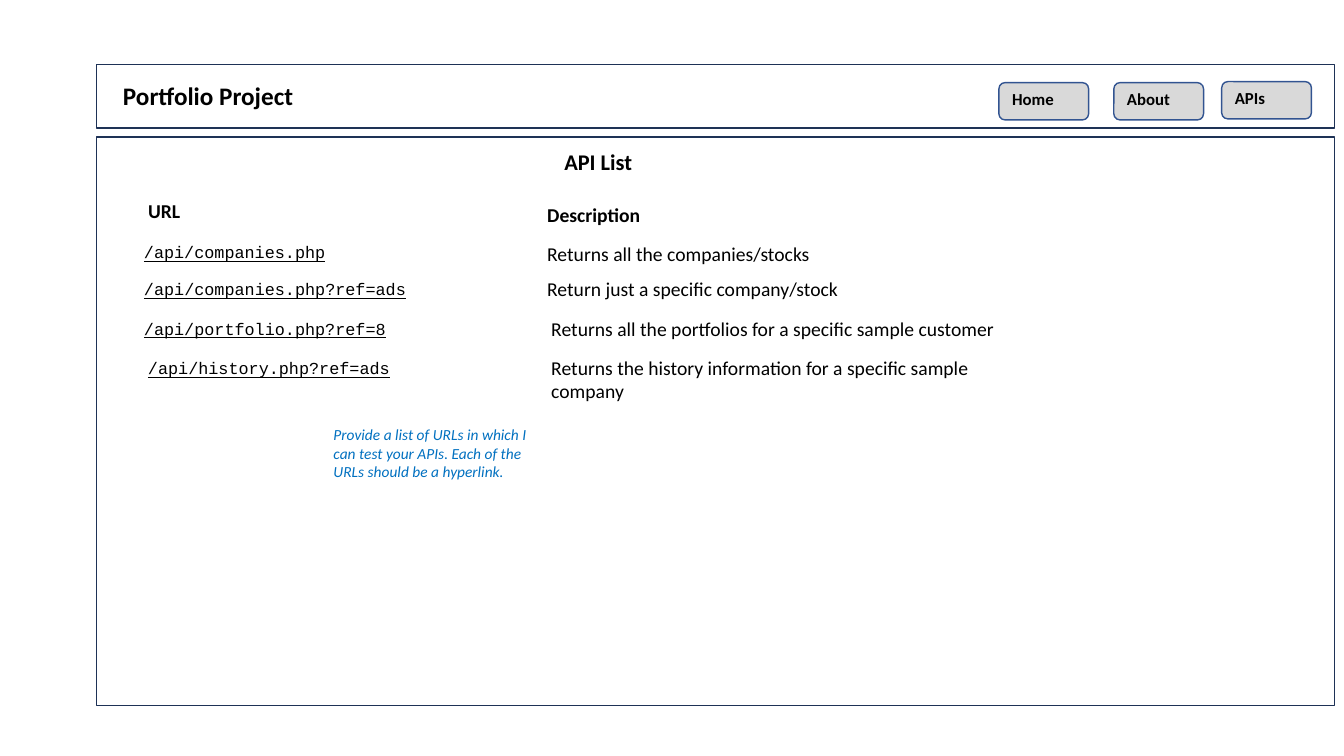
"""Build the API list page mock-up of a portfolio project."""
from dataclasses import dataclass

from pptx import Presentation
from pptx.dml.color import RGBColor
from pptx.enum.shapes import MSO_SHAPE
from pptx.enum.text import MSO_ANCHOR, PP_ALIGN
from pptx.util import Pt

RECT = MSO_SHAPE.RECTANGLE
ROUNDED = MSO_SHAPE.ROUNDED_RECTANGLE
TOP = MSO_ANCHOR.TOP
LEFT = PP_ALIGN.LEFT

NAVY, BLUE, GREY = "1E3256", "325491", "D9D9D9"
BLACK, NOTE_BLUE = "000000", "0070C0"
SANS, MONO = "Calibri", "Courier New"


@dataclass
class Box:
    """Position and size in points."""
    x: float
    y: float
    w: float
    h: float


@dataclass
class NavButton:
    """A button of the page header."""
    label: str
    x: float
    y: float


@dataclass
class ApiRow:
    """One API with its description."""
    url: str
    url_box: Box
    description: str
    description_box: Box


TITLE_BOX = Box(80.64, 54, 190.08, 28.8)
FRAMES = [Box(69.12, 46.08, 884.16, 45.36), Box(69.12, 97.92, 884.16, 406.08)]
BUTTONS = [
    NavButton("Home", 713.52, 59.04),
    NavButton("About", 795.6, 59.04),
    NavButton("APIs", 872.64, 58.32),
]
HEADINGS = [
    ("API List", Box(396, 102.24, 126, 26.64), 16),
    ("URL", Box(98.64, 138.24, 126, 24.48), 14),
    ("Description", Box(383.76, 141.12, 126, 24.48), 14),
]
ROWS = [
    ApiRow("/api/companies.php", Box(95.76, 169.2, 204.48, 21.6),
           "Returns all the companies/stocks", Box(383.76, 169.2, 334.8, 24.48)),
    ApiRow("/api/companies.php?ref=ads", Box(95.76, 195.84, 250.56, 21.6),
           "Return just a specific company/stock", Box(383.76, 194.4, 334.8, 24.48)),
    ApiRow("/api/portfolio.php?ref=8", Box(95.76, 223.92, 204.48, 21.6),
           "Returns all the portfolios for a specific sample customer",
           Box(386.64, 222.48, 334.8, 24.48)),
    ApiRow("/api/history.php?ref=ads", Box(98.64, 252, 278.64, 21.6),
           "Returns the history information for a specific sample company",
           Box(386.64, 250.56, 334.8, 41.04)),
]
NOTE = ("Provide a list of URLs in which I can test your APIs. "
        "Each of the URLs should be a hyperlink.")
NOTE_BOX = Box(231.12, 300.24, 164.16, 47.52)


def rgb(color: str) -> RGBColor:
    """Turn a hex string into a colour."""
    return RGBColor.from_string(color)


def lengths(box: Box) -> tuple[Pt, Pt, Pt, Pt]:
    """Give left, top, width and height of a box."""
    return Pt(box.x), Pt(box.y), Pt(box.w), Pt(box.h)


def write(sp, text: str, *, size: float, font: str = SANS, color: str = BLACK,
          bold: bool = False, italic: bool = False, underline: bool = False,
          inset_x: float = 7.2, inset_y: float = 3.6) -> None:
    """Put one formatted paragraph into a shape."""
    tf = sp.text_frame
    tf.word_wrap = True
    tf.vertical_anchor = TOP
    tf.margin_left = tf.margin_right = Pt(inset_x)
    tf.margin_top = tf.margin_bottom = Pt(inset_y)
    p = tf.paragraphs[0]
    p.alignment = LEFT
    p.line_spacing = 1.0
    p.space_before = Pt(0)
    r = p.add_run()
    r.text = text
    r.font.name = font
    r.font.size = Pt(size)
    r.font.bold = bold
    r.font.italic = italic
    r.font.underline = underline
    r.font.color.rgb = rgb(color)


def add_text(s, text: str, box: Box, **style) -> None:
    """Add a text box."""
    write(s.shapes.add_textbox(*lengths(box)), text, **style)


def add_panel(s, kind, box: Box, line: str, fill: str | None = None):
    """Add an outlined shape, filled if a colour is given."""
    sp = s.shapes.add_shape(kind, *lengths(box))
    sp.shadow.inherit = False
    if fill:
        sp.fill.solid()
        sp.fill.fore_color.rgb = rgb(fill)
    else:
        sp.fill.background()
    sp.line.color.rgb = rgb(line)
    sp.line.width = Pt(1)
    return sp


def main() -> None:
    """Build and save the slide."""
    prs = Presentation()
    prs.slide_width, prs.slide_height = Pt(960), Pt(540)
    s = prs.slides.add_slide(prs.slide_layouts[5])

    title = s.shapes.title
    title.left, title.top, title.width, title.height = lengths(TITLE_BOX)
    write(title, "Portfolio Project", size=18, bold=True)

    for frame in FRAMES:
        add_panel(s, RECT, frame, NAVY)
    for button in BUTTONS:
        sp = add_panel(s, ROUNDED, Box(button.x, button.y, 64.08, 26.64), BLUE, GREY)
        write(sp, button.label, size=12, bold=True, inset_x=8.1, inset_y=3)

    for text, box, size in HEADINGS:
        add_text(s, text, box, size=size, bold=True)
    for row in ROWS:
        add_text(s, row.url, row.url_box, size=12, font=MONO, underline=True)
        add_text(s, row.description, row.description_box, size=14)
    add_text(s, NOTE, NOTE_BOX, size=11, color=NOTE_BLUE, italic=True)

    prs.save("out.pptx")


if __name__ == "__main__":
    main()
